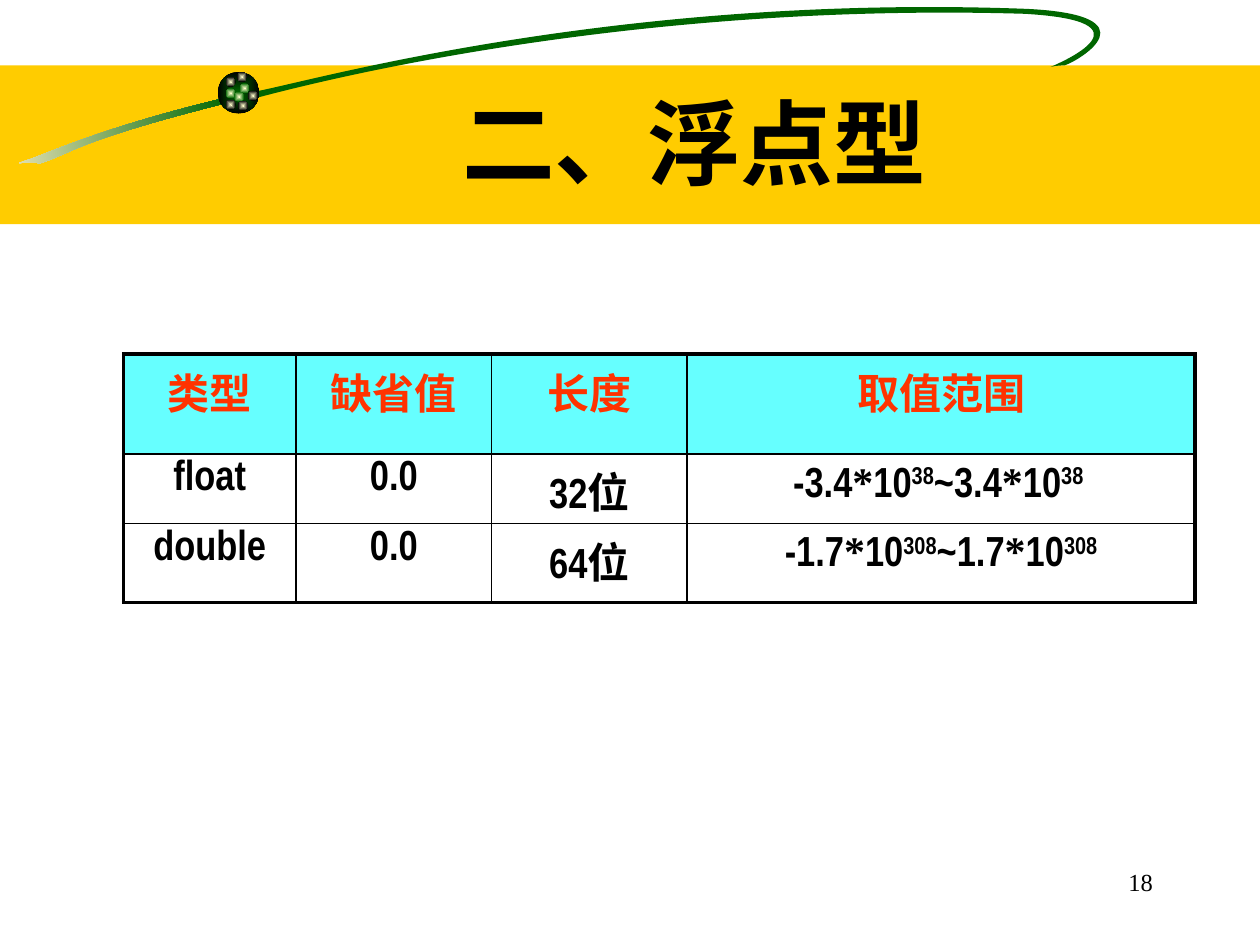
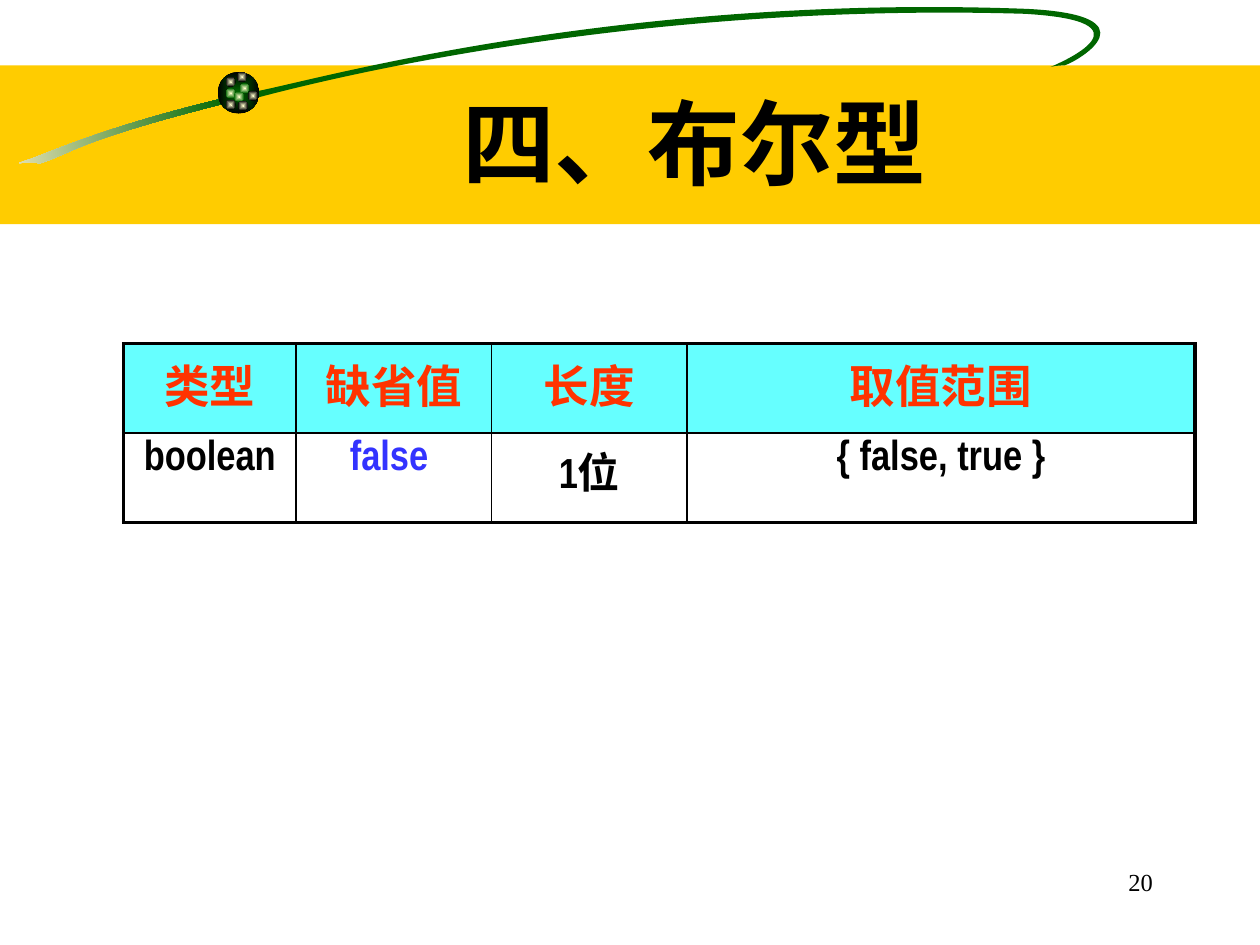
from itertools import groupby
from math import cos, radians, sin

from lxml import etree
from pptx import Presentation
from pptx.dml.color import RGBColor
from pptx.enum.shapes import MSO_SHAPE as Shape
from pptx.enum.text import MSO_ANCHOR as Anchor, PP_ALIGN as Align
from pptx.oxml.ns import qn
from pptx.util import Cm, Pt

COLORS = {
    "band": "FFCC00",
    "green": "006600",
    "cream": "F5EBC1",
    "glow": "FFFFCC",
    "black": "000000",
    "header_fill": "66FFFF",
    "header_text": "FF3300",
    "blue": "3333FF",
}
MAIN_FONT = "Arial Narrow"
SERIF_FONT = "Times New Roman"
NO_TABLE_STYLE = "{2D5ABB26-0587-4C30-8999-92F81FD0307C}"

HEADER_BOX = (0, 0, 25.4, 4.52)
TITLE_BOX = (3.2, 1.27, 21.59, 3.18)
NUMBER_BOX = (18.21, 17.35, 5.28, 1.27)
TABLE_LEFT = 2.49
COLUMN_WIDTHS = (3.48, 3.94, 3.94, 10.24)
HEADINGS = ("类型", "缺省值", "长度", "取值范围")

BAND_TOP = 1.32
SWOOSH_ANGLE = -8.5
TAIL_CENTER = (2.29, 2.69)
TAIL_CURVE = [
    (4.52, 1.98),
    (2.31, 2.51), (1.24, 2.97), (0.64, 3.2),
    (0.03, 3.4), (0.66, 3.2), (0.79, 3.3),
    (1.45, 3.1), (1.45, 2.87), (4.55, 2.08),
    (4.55, 2.08), (4.52, 1.98), (4.52, 1.98),
]
LOOP_CENTER = (14.2, 1.0)
LOOP_CURVE = [
    (5.13, 1.85),
    (6.25, 1.65), (12.37, -0.13), (20.68, 0.18),
    (23.29, 0.3), (21.77, 1.22), (21.46, 1.32),
    (21.46, 1.32), (21.29, 1.32), (21.18, 1.35),
    (21.44, 1.24), (23.29, 0.43), (20.65, 0.28),
    (13.92, 0.08), (8.15, 1.19), (5.23, 1.96),
    (5.23, 1.96), (5.13, 1.85), (5.13, 1.85),
]
BALL = (4.39, 1.45, 0.84)
SPOT_SIZE = 0.2
SPOTS = [
    (4.83, 1.68, "green"),
    (4.55, 1.55, "black"),
    (4.55, 1.78, "green"),
    (4.72, 1.85, "green"),
    (5.0, 1.83, "black"),
    (4.8, 2.03, "black"),
    (4.55, 2.01, "black"),
    (4.78, 1.45, "black"),
]

SLIDES = [
    {
        "title": "二、浮点型",
        "number": "18",
        "table_top": 7.14,
        "row_heights": (2.01, 1.4, 1.6),
        "heading_size": 24,
        "rows": [
            ("float", "0.0", "32位", "-3.4*10^38^~3.4*10^38 ^"),
            ("double", "0.0", "64位", "-1.7*10^308^~1.7*10^308^"),
        ],
        "default_color": "black",
    },
    {
        "title": "四、布尔型",
        "number": "20",
        "table_top": 6.93,
        "row_heights": (1.8, 1.8),
        "heading_size": 26,
        "rows": [("boolean", "false ", "1位", "{ false, true }")],
        "default_color": "blue",
    },
]


def color(name):
    return RGBColor.from_string(COLORS[name])


def finish(shape):
    shape.line.fill.background()
    shape.shadow.inherit = False


def fill_solid(shape, name):
    shape.fill.solid()
    shape.fill.fore_color.rgb = color(name)


def fill_gradient(shape, start, end, from_center=False):
    shape.fill.gradient()
    shape.fill.gradient_angle = 0
    for stop, name, position in zip(shape.fill.gradient_stops, (start, end), (0, 1)):
        stop.color.rgb = color(name)
        stop.position = position
    if from_center:
        linear = shape._element.spPr.find(qn("a:gradFill")).find(qn("a:lin"))
        path = etree.Element(qn("a:path"), {"path": "shape"})
        sides = dict.fromkeys("ltrb", "50000")
        etree.SubElement(path, qn("a:fillToRect"), sides)
        linear.getparent().replace(linear, path)


def add_shape(slide, kind, left, top, width, height):
    shape = slide.shapes.add_shape(kind, Cm(left), Cm(top), Cm(width), Cm(height))
    finish(shape)
    return shape


def add_swoosh(slide, left, top, center, curve):
    center_x, center_y = center
    cosine, sine = cos(radians(-SWOOSH_ANGLE)), sin(radians(-SWOOSH_ANGLE))
    points = []
    for x, y in curve:
        across, down = x - center_x, y - center_y
        points.append((
            Cm(left + center_x + across * cosine - down * sine),
            Cm(top + center_y + across * sine + down * cosine),
        ))
    builder = slide.shapes.build_freeform(*points[0])
    builder.add_line_segments(points[1:], close=True)
    shape = builder.convert_to_shape()
    segments = list(shape._element.iter(qn("a:lnTo")))
    for first in range(0, len(segments), 3):
        bezier = etree.Element(qn("a:cubicBezTo"))
        segments[first].addprevious(bezier)
        for segment in segments[first:first + 3]:
            bezier.append(segment[0])
            segment.getparent().remove(segment)
    shape.rotation = SWOOSH_ANGLE % 360
    finish(shape)
    return shape


def add_header(slide, box):
    left, top, width, height = box
    band = add_shape(slide, Shape.RECTANGLE, left, top + BAND_TOP, width, height - BAND_TOP)
    fill_solid(band, "band")
    tail = add_swoosh(slide, left, top, TAIL_CENTER, TAIL_CURVE)
    fill_gradient(tail, "cream", "green")
    loop = add_swoosh(slide, left, top, LOOP_CENTER, LOOP_CURVE)
    fill_solid(loop, "green")
    ball_x, ball_y, size = BALL
    ball = add_shape(slide, Shape.OVAL, left + ball_x, top + ball_y, size, size)
    fill_gradient(ball, "green", "black", from_center=True)
    for x, y, edge in SPOTS:
        spot = add_shape(slide, Shape.OVAL, left + x, top + y, SPOT_SIZE, SPOT_SIZE)
        fill_gradient(spot, "glow", edge, from_center=True)


def style_paragraph(paragraph, alignment, size, font_name, color_name, bold):
    paragraph.alignment = alignment
    font = paragraph.font
    font.size, font.name, font.bold = Pt(size), font_name, bold
    font.color.rgb = color(color_name)


def add_text(slide, box, text, anchor, *style):
    text_box = slide.shapes.add_textbox(*(Cm(length) for length in box))
    frame = text_box.text_frame
    frame.word_wrap = True
    frame.vertical_anchor = anchor
    frame.text = text
    style_paragraph(frame.paragraphs[0], *style)


def add_marked_runs(paragraph, text):
    for index, part in enumerate(text.split("^")):
        for is_star, characters in groupby(part, lambda character: character == "*"):
            run = paragraph.add_run()
            run.text = "".join(characters)
            if is_star:
                run.font.name = SERIF_FONT
            if index % 2:
                run._r.get_or_add_rPr().set("baseline", "30000")


def set_borders(cell, outer_sides):
    properties = cell._tc.get_or_add_tcPr()
    for index, side in enumerate("LRTB"):
        width = Pt(2.25 if side in outer_sides else 1)
        line = etree.Element(qn(f"a:ln{side}"), {"w": str(width)})
        fill = etree.SubElement(line, qn("a:solidFill"))
        etree.SubElement(fill, qn("a:srgbClr"), {"val": COLORS["black"]})
        properties.insert(index, line)


def add_type_table(slide, left, top, content):
    rows = [HEADINGS, *content["rows"]]
    heights = content["row_heights"]
    frame = slide.shapes.add_table(
        len(rows), len(HEADINGS), Cm(left), Cm(top),
        Cm(sum(COLUMN_WIDTHS)), Cm(sum(heights)),
    )
    table = frame.table
    table.first_row = table.horz_banding = False
    table._tbl.tblPr.find(qn("a:tableStyleId")).text = NO_TABLE_STYLE
    for column, width in zip(table.columns, COLUMN_WIDTHS):
        column.width = Cm(width)
    for row, height in zip(table.rows, heights):
        row.height = Cm(height)

    last_row, last_column = len(rows) - 1, len(HEADINGS) - 1
    for row_index, texts in enumerate(rows):
        for column_index, text in enumerate(texts):
            cell = table.cell(row_index, column_index)
            size, text_color = 24, "black"
            if row_index == 0:
                size, text_color = content["heading_size"], "header_text"
                fill_solid(cell, "header_fill")
            else:
                cell.fill.background()
                if column_index == 1:
                    text_color = content["default_color"]
            paragraph = cell.text_frame.paragraphs[0]
            add_marked_runs(paragraph, text)
            style_paragraph(paragraph, Align.CENTER, size, MAIN_FONT, text_color, True)
            edges = {
                "L": column_index == 0,
                "R": column_index == last_column,
                "T": row_index == 0,
                "B": row_index == last_row,
            }
            set_borders(cell, [side for side, is_outer in edges.items() if is_outer])


def add_type_slide(presentation, content):
    slide = presentation.slides.add_slide(presentation.slide_layouts[6])
    add_header(slide, HEADER_BOX)
    add_text(slide, TITLE_BOX, content["title"], Anchor.MIDDLE,
             Align.CENTER, 53, MAIN_FONT, "black", True)
    add_type_table(slide, TABLE_LEFT, content["table_top"], content)
    add_text(slide, NUMBER_BOX, content["number"], Anchor.TOP,
             Align.RIGHT, 14, SERIF_FONT, "black", False)


def main():
    presentation = Presentation()
    presentation.slide_width, presentation.slide_height = Cm(25.4), Cm(19.05)
    for content in SLIDES:
        add_type_slide(presentation, content)
    presentation.save("out.pptx")


if __name__ == "__main__":
    main()
